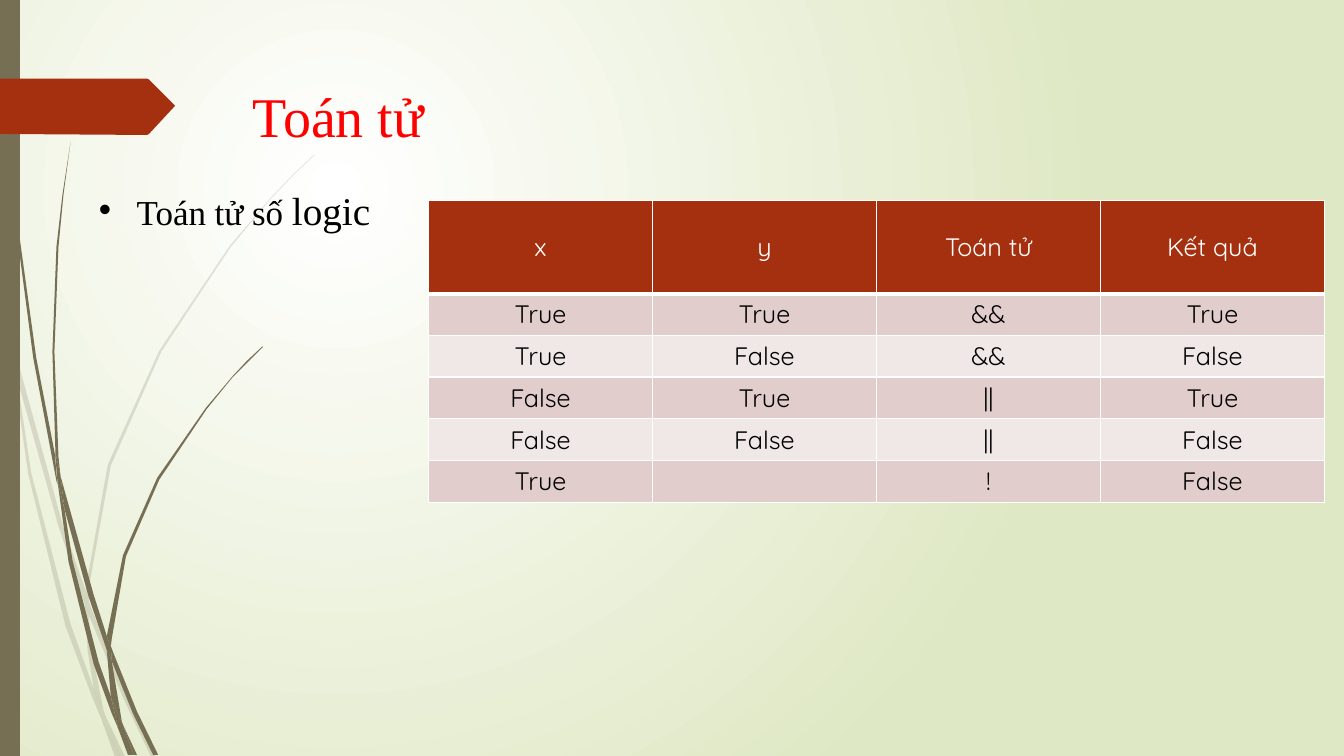
from lxml.etree import SubElement
from pptx import Presentation
from pptx.dml.color import RGBColor
from pptx.enum.shapes import MSO_SHAPE as Preset
from pptx.enum.text import MSO_ANCHOR as Anchor, MSO_AUTO_SIZE as AutoSize, PP_ALIGN as Align
from pptx.oxml import parse_xml
from pptx.oxml.ns import nsdecls, qn
from pptx.util import Cm, Pt

SERIF, SANS = "Times New Roman", "Quicksand"
OLIVE, RUST, RED, WHITE, BLACK = "766F54", "A53010", "FF0000", "FFFFFF", "000000"
BAND_DARK, BAND_LIGHT = "E1CDCC", "F0E8E7"
GRID = Cm(2.54) / 100  # outlines are drawn on a grid of 1/100 inch

# Corners of each piece of grass, as x y pairs
PALE_GRASS = [
    "11 350 9 322 0 282 0 299 10 344",
    "58 522 84 599 85 586 62 520 14 345 17 376",
    "92 607 88 596 88 610 123 694 150 751 155 751 127 692",
    "119 751 124 751 105 711",
    "93 683 70 619 31 469 17 376 11 350 28 470 65 621 92 693 101 714 99 707",
    "84 599 87 646 93 683 96 692 105 711 103 706 91 646 88 610 88 608",
    "88 584 110 462 160 349 229 245 268 198 290 175 312 154 312 153 289 175 268 197 228 244 "
    "158 348 107 461 85 584 85 586 88 596",
    "101 714 114 751 119 751",
    "88 608 88 610 88 596 85 586 84 599",
    "96 692 93 683 99 707 101 714 119 751 105 711",
]
DARK_GRASS = [
    "7 110 17 233 33 355 56 477 57 481 55 457 55 453 36 355 19 232 8 109 5 48 3 0 3 48",
    "88 592 106 645 106 633 106 631 93 590 60 472 64 505",
    "113 649 110 641 111 656 132 708 152 749 157 749 136 706",
    "110 691 98 657 72 556 64 505 57 477 68 557 93 659 111 708 117 722 116 717",
    "60 472 58 453 54 349 58 245 63 193 70 141 62 193 56 245 52 349 55 449",
    "133 749 136 749 122 719",
    "57 477 64 505 60 472 55 449 55 453",
    "111 633 125 552 158 476 205 406 231 374 246 359 261 344 260 344 245 358 231 373 204 405 "
    "156 474 122 551 106 631 110 641",
    "117 722 127 749 131 749",
    "106 645 110 691 116 706 122 719 121 716 111 656 109 651",
    "106 645 109 651 111 656 110 641 106 631 106 633",
    "116 706 110 691 116 717 117 722 130 749 133 749 122 719",
]
TAB = "174 28 149 55 147 56 0 55 1 0 147 0 149 1 174 26 175 27"
TRUTH_ROWS = [
    ("x", "y", "Toán tử", "Kết quả"),
    ("True", "True", "&&", "True"),
    ("True", "False", "&&", "False"),
    ("False", "True", "||", "True"),
    ("False", "False", "||", "False"),
    ("True", "", "!", "False"),
]


def rgb(code):
    return RGBColor.from_string(code)


def write(paragraph, text, *, size, font=SERIF, color=BLACK, align=Align.LEFT):
    paragraph.alignment = align
    run = paragraph.add_run()
    run.text = text
    run.font.size, run.font.name, run.font.bold = Pt(size), font, False
    run.font.color.rgb = rgb(color)


def paint(shape, color, opacity=100):
    shape.shadow.inherit = False
    shape.fill.solid()
    shape.fill.fore_color.rgb = rgb(color)
    shape.line.fill.background()
    if opacity < 100:
        tint = shape.element.spPr.find(qn("a:solidFill"))[0]
        SubElement(tint, qn("a:alpha")).set("val", str(opacity * 1000))


def draw_outline(shapes, outline, left, top, color, opacity=100):
    numbers = [int(n) for n in outline.split()]
    start, *corners = zip(numbers[::2], numbers[1::2])
    builder = shapes.build_freeform(*start, scale=GRID)
    builder.add_line_segments(corners, close=True)
    paint(builder.convert_to_shape(left, top), color, opacity)


def set_background(slide):
    fill = slide.background.fill
    fill.gradient()
    for stop, color in zip(fill.gradient_stops, (WHITE, "DFE8C4")):
        stop.color.rgb = rgb(color)
    gradient = slide.element.find(".//" + qn("a:gradFill"))
    for stop, position in zip(gradient.iter(qn("a:gs")), (0, 100000)):
        stop.set("pos", str(position))
    gradient.replace(gradient.find(qn("a:lin")), parse_xml(
        f'<a:path {nsdecls("a")} path="circle">'
        '<a:fillToRect l="50000" t="50000" r="100000" b="100000"/></a:path>'))


def add_decoration(slide, left, top, height):
    for pieces, opacity in ((PALE_GRASS, 20), (DARK_GRASS, 100)):
        grass = slide.shapes.add_group_shape()
        for piece in pieces:
            draw_outline(grass.shapes, piece, left, top, OLIVE, opacity)
    side_bar = slide.shapes.add_shape(Preset.RECTANGLE, left, top, Cm(0.5), height)
    paint(side_bar, OLIVE)
    draw_outline(slide.shapes, TAB, left - Cm(0.03), top + Cm(1.98), RUST)


def place_text(slide, holder, box, anchor):
    slide.shapes.element.append(holder.element)  # in front of the grass
    holder.left, holder.top, holder.width, holder.height = box
    frame = holder.text_frame
    frame.word_wrap, frame.auto_size = True, AutoSize.NONE
    frame.vertical_anchor = anchor
    return frame.paragraphs[0]


def add_heading(slide, *box):
    heading = place_text(slide, slide.shapes.title, box, Anchor.MIDDLE)
    write(heading, "Toán tử", size=40, color=RED)


def add_topic(slide, *box):
    topic = place_text(slide, slide.placeholders[1], box, Anchor.TOP)
    topic.space_before = Pt(0)
    write(topic, "Toán tử số ", size=25)
    write(topic, "logic", size=28)
    bullet = topic._p.get_or_add_pPr()
    bullet.set("marL", str(Cm(0.95)))
    bullet.set("indent", str(-Cm(0.95)))
    SubElement(bullet, qn("a:buFont")).set("typeface", "Arial")
    SubElement(bullet, qn("a:buChar")).set("char", "•")


def set_borders(cell, **widths):
    properties = cell._tc.get_or_add_tcPr()
    for i, (side, width) in enumerate(widths.items()):
        properties.insert(i, parse_xml(
            f'<a:ln{side} {nsdecls("a")} w="{Pt(width)}"><a:solidFill>'
            f'<a:srgbClr val="{WHITE}"/></a:solidFill></a:ln{side}>'))


def add_truth_table(slide, left, top, width, header_height, row_height):
    height = header_height + row_height * (len(TRUTH_ROWS) - 1)
    table = slide.shapes.add_table(len(TRUTH_ROWS), len(TRUTH_ROWS[0]), left, top, width, height).table
    table.horz_banding = False
    for r, values in enumerate(TRUTH_ROWS):
        table.rows[r].height = row_height if r else header_height
        band = RUST if r == 0 else BAND_DARK if r % 2 else BAND_LIGHT
        for c, value in enumerate(values):
            cell = table.cell(r, c)
            cell.vertical_anchor = Anchor.MIDDLE
            cell.fill.solid()
            cell.fill.fore_color.rgb = rgb(band)
            set_borders(cell, L=1, R=1, T=3 if r == 1 else 1, B=1 if r else 3)
            if value:
                write(cell.text_frame.paragraphs[0], value, size=18, font=SANS,
                      color=BLACK if r else WHITE, align=Align.CENTER)


deck = Presentation()
deck.slide_width, deck.slide_height = Cm(33.87), Cm(19.05)
operators = deck.slides.add_slide(deck.slide_layouts[1])
set_background(operators)
add_decoration(operators, 0, 0, deck.slide_height)
add_heading(operators, Cm(6.12), Cm(1.93), Cm(12), Cm(1.96))
add_topic(operators, Cm(2.24), Cm(4.57), Cm(7.8), Cm(1.45))
add_truth_table(operators, Cm(10.8), Cm(5.06), Cm(22.58), Cm(2.34), Cm(1.03))
deck.save("out.pptx")
